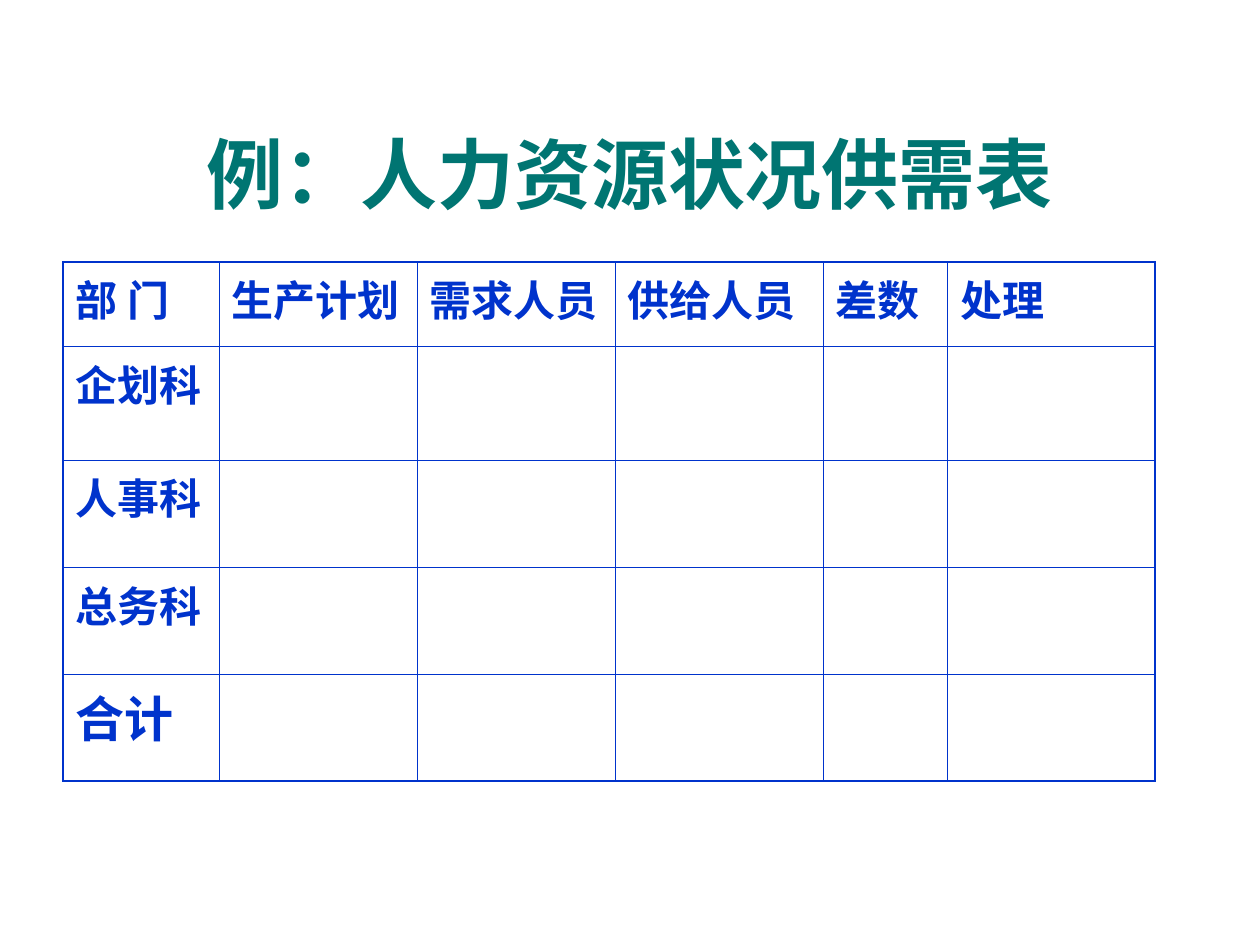
from lxml.etree import SubElement
from pptx import Presentation
from pptx.dml.color import RGBColor
from pptx.enum.text import MSO_ANCHOR, PP_ALIGN
from pptx.oxml.ns import qn
from pptx.util import Cm, Pt

# Content
TITLE = "例：人力资源状况供需表"
HEADINGS = ["部 门", "生产计划", "需求人员", "供给人员", "差数", "处理"]
DEPARTMENTS = ["企划科", "人事科", "总务科"]
TOTAL = "合计"

# Style, lengths in cm
COLORS = {"title": "007572", "table": "0033CC"}
FONT = "Noto Sans CJK SC"
COLUMN_WIDTHS = [3.15, 3.99, 3.99, 4.19, 2.51, 4.19]
ROW_HEIGHTS = [1.7, 2.29, 2.16, 2.16, 2.16]
INNER_LINE, OUTER_LINE = Pt(0.45), Pt(1.08)


def add_run(paragraph, text, size, color):
    run = paragraph.add_run()
    run.text = text
    run.font.size = Pt(size)
    run.font.bold = True
    run.font.name = FONT
    run.font.color.rgb = RGBColor.from_string(color)
    SubElement(run.font._element, qn("a:ea"), typeface=FONT)


def set_borders(cell, outer_sides):
    properties = cell._tc.get_or_add_tcPr()
    for side in "LRTB":
        width = OUTER_LINE if side in outer_sides else INNER_LINE
        line = SubElement(properties, qn(f"a:ln{side}"), w=str(int(width)))
        fill = SubElement(line, qn("a:solidFill"))
        SubElement(fill, qn("a:srgbClr"), val=COLORS["table"])


presentation = Presentation()
presentation.slide_width, presentation.slide_height = Cm(25.4), Cm(19.05)
slide = presentation.slides.add_slide(presentation.slide_layouts[6])

# Title
title = slide.shapes.add_textbox(Cm(0.84), Cm(1.9), Cm(23.72), Cm(3.18)).text_frame
title.word_wrap = True
title.vertical_anchor = MSO_ANCHOR.MIDDLE
title.paragraphs[0].alignment = PP_ALIGN.CENTER
add_run(title.paragraphs[0], TITLE, 44, COLORS["title"])

# Supply and demand table
staffing_rows = [HEADINGS] + [[name] for name in DEPARTMENTS + [TOTAL]]
last_row, last_column = len(ROW_HEIGHTS) - 1, len(COLUMN_WIDTHS) - 1
staffing = slide.shapes.add_table(
    len(ROW_HEIGHTS), len(COLUMN_WIDTHS), Cm(1.27), Cm(5.28),
    Cm(sum(COLUMN_WIDTHS)), Cm(sum(ROW_HEIGHTS))).table
staffing.first_row = staffing.horz_banding = False
for column, width in zip(staffing.columns, COLUMN_WIDTHS):
    column.width = Cm(width)
for row, height in zip(staffing.rows, ROW_HEIGHTS):
    row.height = Cm(height)

for r, row in enumerate(staffing.rows):
    for c, cell in enumerate(row.cells):
        edges = {"L": c == 0, "R": c == last_column, "T": r == 0, "B": r == last_row}
        set_borders(cell, [side for side, is_outer in edges.items() if is_outer])
        cell.fill.background()
        if c < len(staffing_rows[r]):
            size = 28 if r == last_row else 24
            add_run(cell.text_frame.paragraphs[0], staffing_rows[r][c], size, COLORS["table"])

presentation.save("out.pptx")
